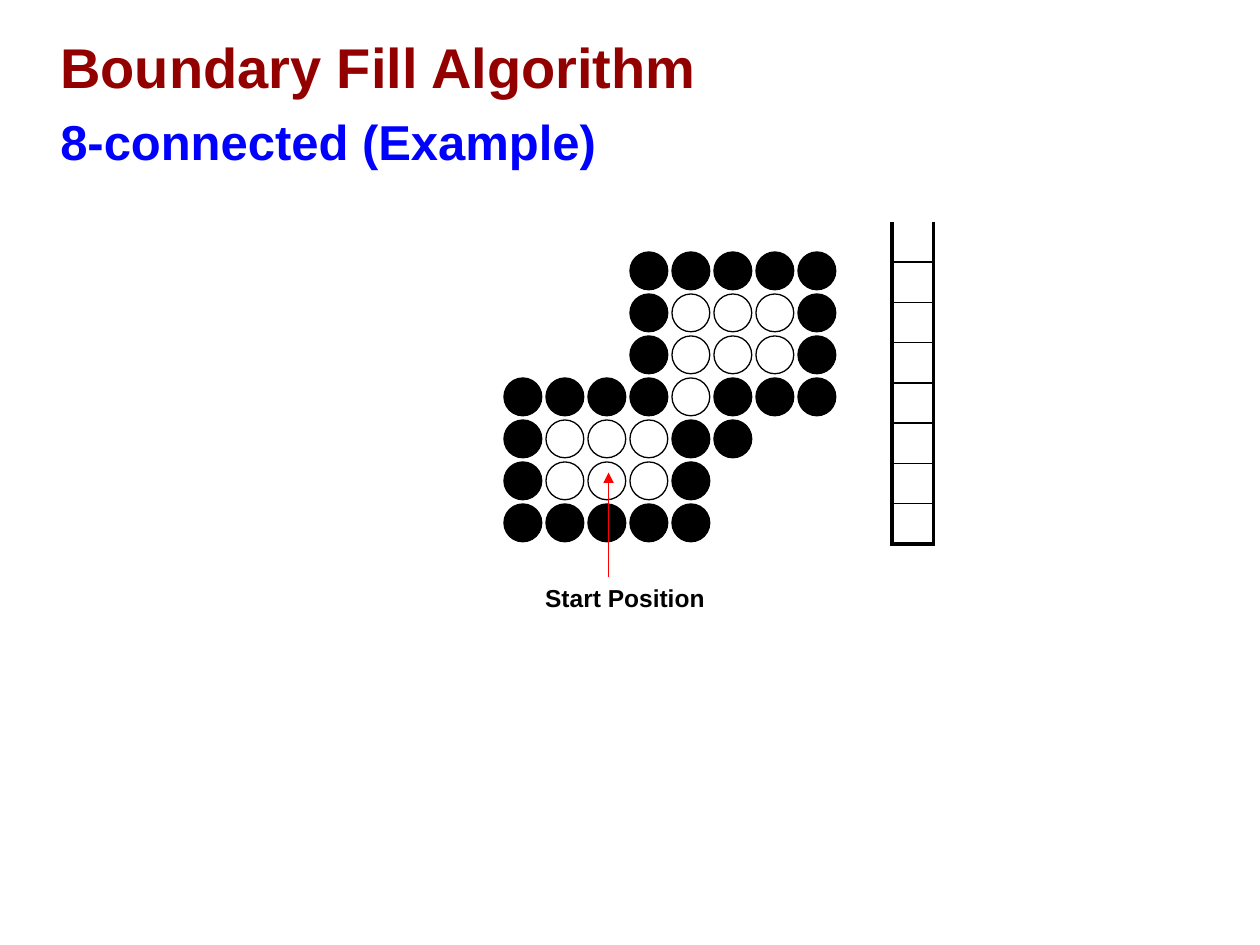
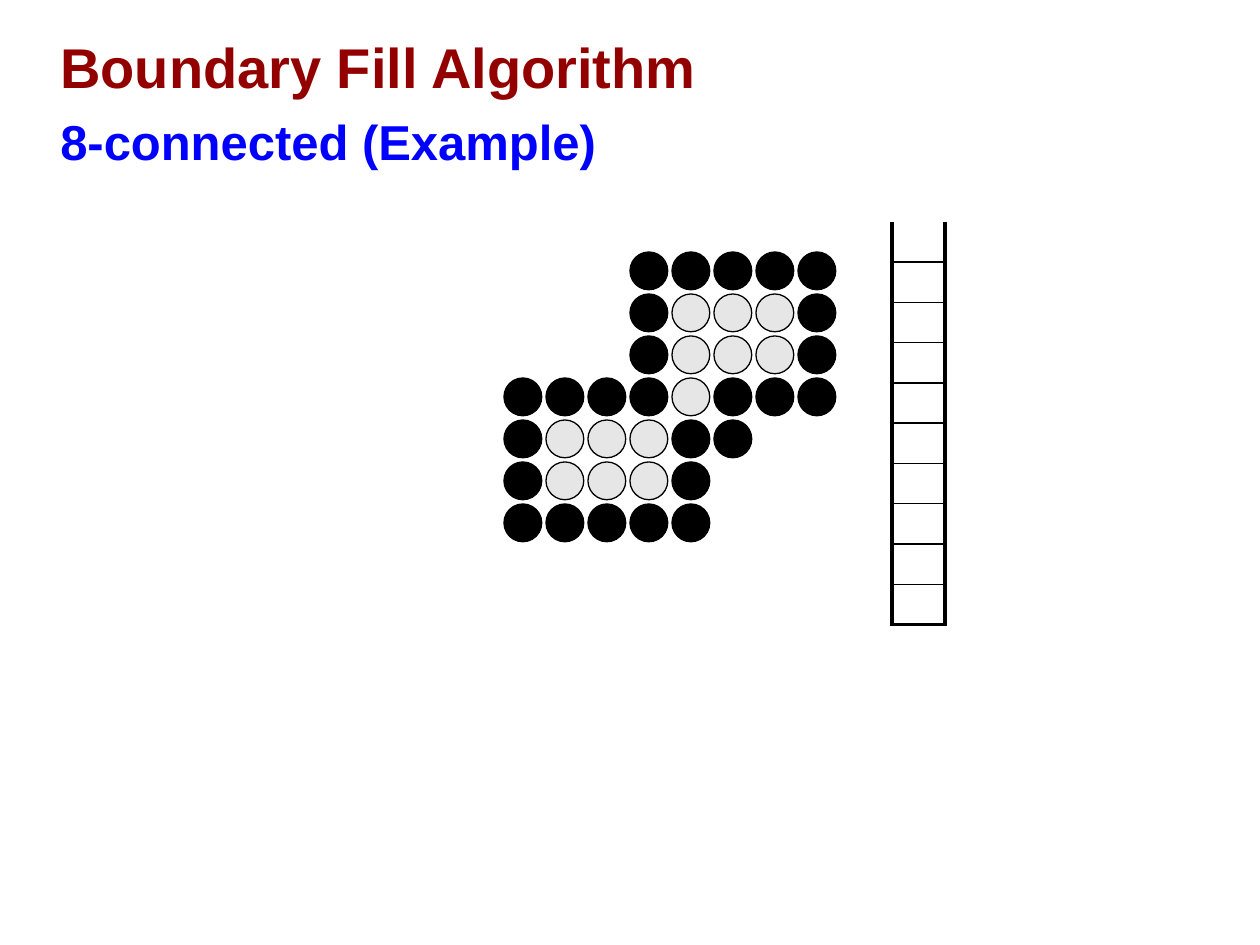
"""Build two slides on the 8-connected boundary fill algorithm."""
import pptx
import pptx.dml.color
import pptx.enum.shapes
import pptx.enum.text
import pptx.oxml
import pptx.oxml.ns
import pptx.util
from pptx.util import Inches

COLORS = {"title": "920000", "subtitle": "0000FF", "ink": "000000",
          "filled": "E7E6E6", "arrow": "FF0000"}
FONT = "Arial"
HEADING = [("Boundary Fill Algorithm", 32, "title"),
           ("8-connected (Example)", 28, "subtitle")]
PIXELS = ["...#####",
          "...#ooo#",
          "...#ooo#",
          "####o###",
          "#ooo##..",
          "#ooo#...",
          "#####..."]
SLIDES = [
    {"interior": None, "stack_rows": 8, "stack_width": 0.33, "start": "Start Position"},
    {"interior": "filled", "stack_rows": 10, "stack_width": 0.42, "start": None},
]
GRID_LEFT, GRID_TOP, PITCH, DIAMETER = 4, 2, 1 / 3, 0.3
STACK_LEFT, STACK_TOP, STACK_ROW = 7.08, 1.76, 0.32
THICK, THIN = 2.25, 1


def rgb(name):
    return pptx.dml.color.RGBColor.from_string(COLORS[name])


def add_text(slide, lines, place, anchor):
    box = slide.shapes.add_textbox(*map(Inches, place))
    frame = box.text_frame
    frame.word_wrap = True
    frame.vertical_anchor = anchor
    frame.text = "\n".join(text for text, size, color in lines)
    for para, (text, size, color) in zip(frame.paragraphs, lines):
        font = para.runs[0].font
        font.name, font.bold = FONT, True
        font.size = pptx.util.Pt(size)
        font.color.rgb = rgb(color)
    return frame.paragraphs


def add_heading(slide):
    title, subtitle = add_text(slide, HEADING, (0.38, 0.25, 9.25, 1.17),
                               pptx.enum.text.MSO_ANCHOR.MIDDLE)
    title.line_spacing = 0.9
    subtitle.space_before = pptx.util.Pt(6.5)


def add_pixels(slide, interior):
    for row, marks in enumerate(PIXELS):
        for column, mark in enumerate(marks):
            if mark == ".":
                continue
            pixel = slide.shapes.add_shape(
                pptx.enum.shapes.MSO_SHAPE.OVAL,
                Inches(GRID_LEFT + column * PITCH), Inches(GRID_TOP + row * PITCH),
                Inches(DIAMETER), Inches(DIAMETER))
            pixel.shadow.inherit = False
            pixel.line.color.rgb = rgb("ink")
            pixel.line.width = pptx.util.Pt(0.75)
            color = "ink" if mark == "#" else interior
            if color:
                pixel.fill.solid()
                pixel.fill.fore_color.rgb = rgb(color)
            else:
                pixel.fill.background()


def set_borders(cell, widths):
    properties = cell._tc.get_or_add_tcPr()
    for index, (side, width) in enumerate(widths.items()):
        paint = (f'<a:solidFill><a:srgbClr val="{COLORS["ink"]}"/></a:solidFill>'
                 if width else "<a:noFill/>")
        border = pptx.oxml.parse_xml(
            f'<a:ln{side} {pptx.oxml.ns.nsdecls("a")} w="{pptx.util.Pt(width)}">'
            f'{paint}</a:ln{side}>')
        properties.insert(index, border)


def add_stack(slide, rows, width):
    table = slide.shapes.add_table(
        rows, 1, Inches(STACK_LEFT), Inches(STACK_TOP),
        Inches(width), Inches(rows * STACK_ROW)).table
    table.first_row = table.horz_banding = False
    for index in range(rows):
        table.rows[index].height = Inches(STACK_ROW)
        cell = table.cell(index, 0)
        cell.margin_top = cell.margin_bottom = 0
        cell.fill.background()
        set_borders(cell, {"L": THICK, "R": THICK,
                           "T": THIN if index else 0,
                           "B": THIN if index < rows - 1 else THICK})


def add_start(slide, label):
    para, = add_text(slide, [(label, 14, "ink")], (4.17, 4.58, 1.58, 0.33),
                     pptx.enum.text.MSO_ANCHOR.TOP)
    para.alignment = pptx.enum.text.PP_ALIGN.CENTER
    arrow = slide.shapes.add_connector(
        pptx.enum.shapes.MSO_CONNECTOR.STRAIGHT,
        *map(Inches, (4.83, 4.58, 4.83, 3.75)))
    arrow.line.color.rgb = rgb("arrow")
    arrow.line.width = pptx.util.Pt(0.75)
    namespace = pptx.oxml.ns.nsdecls("a")
    arrow.line._get_or_add_ln().append(
        pptx.oxml.parse_xml(f'<a:tailEnd {namespace} type="triangle"/>'))
    arrow._element.spPr.append(pptx.oxml.parse_xml(f"<a:effectLst {namespace}/>"))


deck = pptx.Presentation()
deck.slide_width, deck.slide_height = Inches(10), Inches(7.5)
for content in SLIDES:
    slide = deck.slides.add_slide(deck.slide_layouts[6])
    add_heading(slide)
    add_stack(slide, content["stack_rows"], content["stack_width"])
    add_pixels(slide, content["interior"])
    if content["start"]:
        add_start(slide, content["start"])
deck.save("out.pptx")
